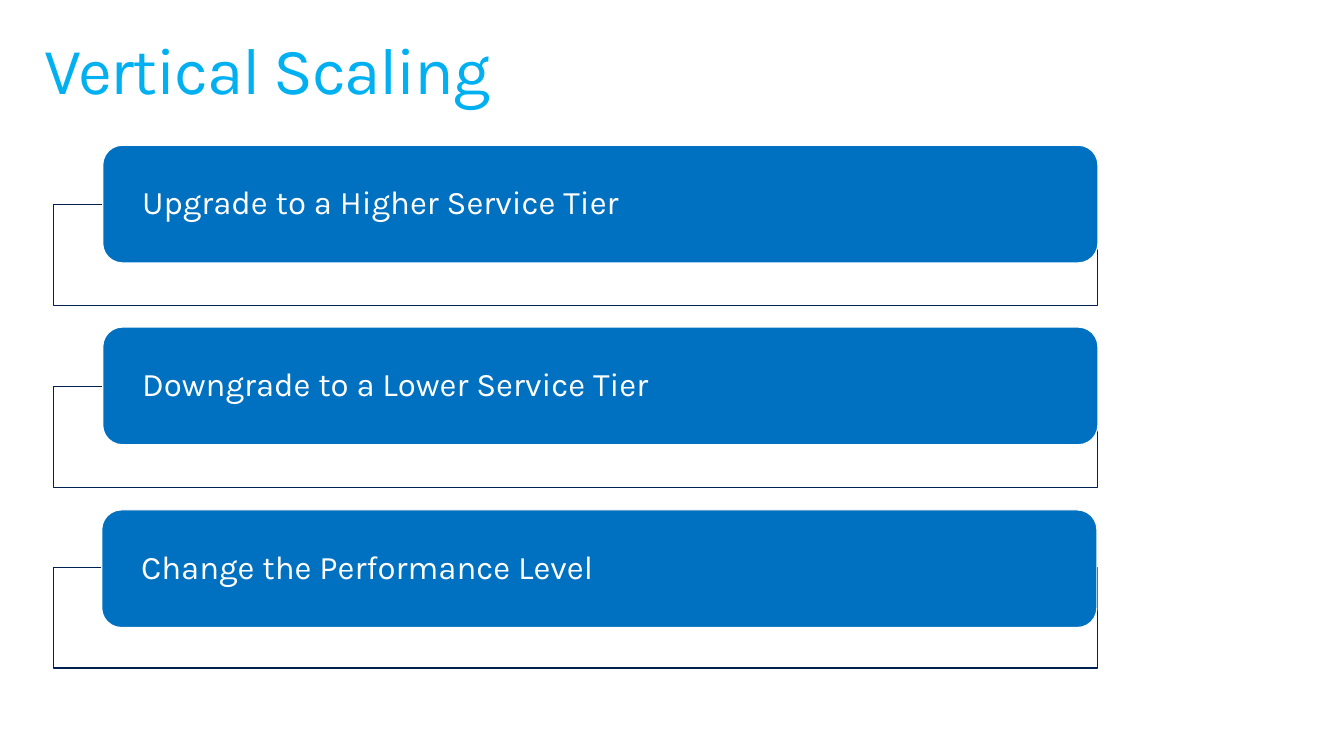
import pptx
import pptx.util
import pptx.dml.color
import pptx.enum.shapes
import pptx.enum.text
import pptx.oxml.ns
import lxml.etree

Inches, Pt = pptx.util.Inches, pptx.util.Pt
RGBColor = pptx.dml.color.RGBColor
MSO_SHAPE = pptx.enum.shapes.MSO_SHAPE
MSO_ANCHOR = pptx.enum.text.MSO_ANCHOR
PP_ALIGN = pptx.enum.text.PP_ALIGN
qn = pptx.oxml.ns.qn

# Content: option, bar left, bar top, frame top
TITLE = "Vertical Scaling"
OPTIONS = [
    ("Upgrade to a Higher Service Tier", 1.04, 1.47, 2.07),
    ("Downgrade to a Lower Service Tier", 1.04, 3.31, 3.91),
    ("Change the Performance Level", 1.03, 5.16, 5.74),
]

# Format
SKY = RGBColor(0x00, 0xB0, 0xF0)
BLUE = RGBColor(0x00, 0x70, 0xC0)
NAVY = RGBColor(0x00, 0x20, 0x50)
WHITE = RGBColor(0xFF, 0xFF, 0xFF)
FRAME_LEFT, FRAME_W, FRAME_H = 0.54, 10.57, 1.02
BAR_W, BAR_H = 10.07, 1.19
TITLE_FONT = {"name": "Karla", "size": Pt(48), "bold": False}
BAR_FONT = {"name": "Karla", "size": Pt(24)}
TITLE_FRAME = {"margin_left": Inches(0.16), "margin_right": Inches(0.16),
               "margin_top": Inches(0.1), "margin_bottom": Inches(0.1),
               "vertical_anchor": MSO_ANCHOR.TOP, "word_wrap": True,
               "auto_size": pptx.enum.text.MSO_AUTO_SIZE.NONE}
BAR_FRAME = {"margin_left": Inches(0.34), "margin_right": Inches(0.34),
             "margin_top": 0, "margin_bottom": 0,
             "vertical_anchor": MSO_ANCHOR.MIDDLE, "word_wrap": True}


def set_all(target, values):
    for name, value in values.items():
        setattr(target, name, value)


def write(sp, text, frame, font, color):
    tf = sp.text_frame
    set_all(tf, frame)
    p = tf.paragraphs[0]
    set_all(p, {"alignment": PP_ALIGN.LEFT, "line_spacing": 0.9})
    r = p.add_run()
    r.text = text
    set_all(r.font, font)
    r.font.color.rgb = color
    return r


def add_box(slide, kind, left, top, width, height, fill, line):
    sp = slide.shapes.add_shape(kind, Inches(left), Inches(top),
                                Inches(width), Inches(height))
    sp.shadow.inherit = False
    sp.fill.solid()
    sp.fill.fore_color.rgb = fill
    sp.line.color.rgb = line
    sp.line.width = Pt(0.85)
    return sp


prs = pptx.Presentation()
prs.slide_width, prs.slide_height = Inches(13.6), Inches(7.65)
slide = prs.slides.add_slide(prs.slide_layouts[5])

# Title
title = slide.shapes.title
set_all(title, {"left": Inches(0.29), "top": Inches(0.28),
                "width": Inches(9.8), "height": Inches(1.18)})
r = write(title, TITLE, TITLE_FRAME, TITLE_FONT, SKY)
r.font._element.set("spc", "-100")

# Each option: a frame with a bar in front
for text, bar_left, bar_top, frame_top in OPTIONS:
    frame = add_box(slide, MSO_SHAPE.RECTANGLE, FRAME_LEFT, frame_top,
                    FRAME_W, FRAME_H, WHITE, NAVY)
    color = frame._element.spPr.find(qn("a:solidFill"))[0]
    lxml.etree.SubElement(color, qn("a:alpha"), val="90000")
    bar = add_box(slide, MSO_SHAPE.ROUNDED_RECTANGLE, bar_left, bar_top,
                  BAR_W, BAR_H, BLUE, WHITE)
    write(bar, text, BAR_FRAME, BAR_FONT, WHITE)

prs.save("out.pptx")
